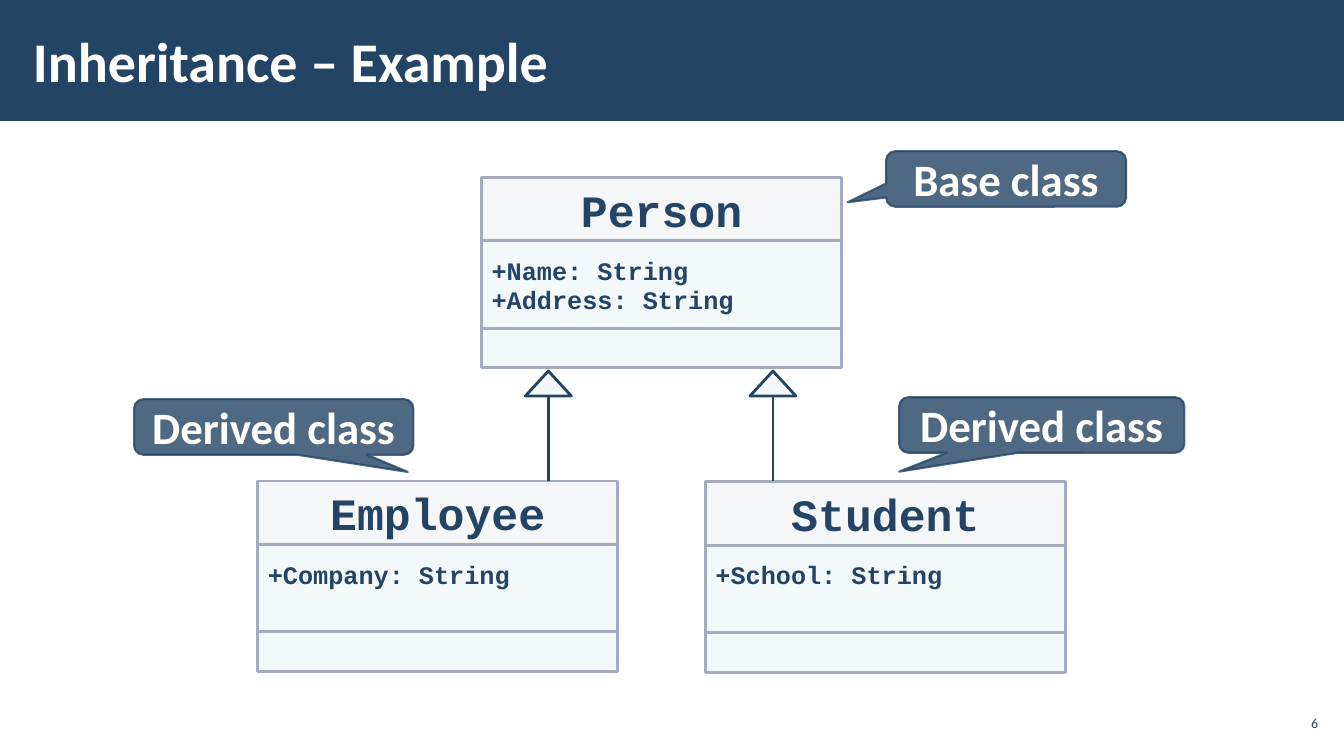
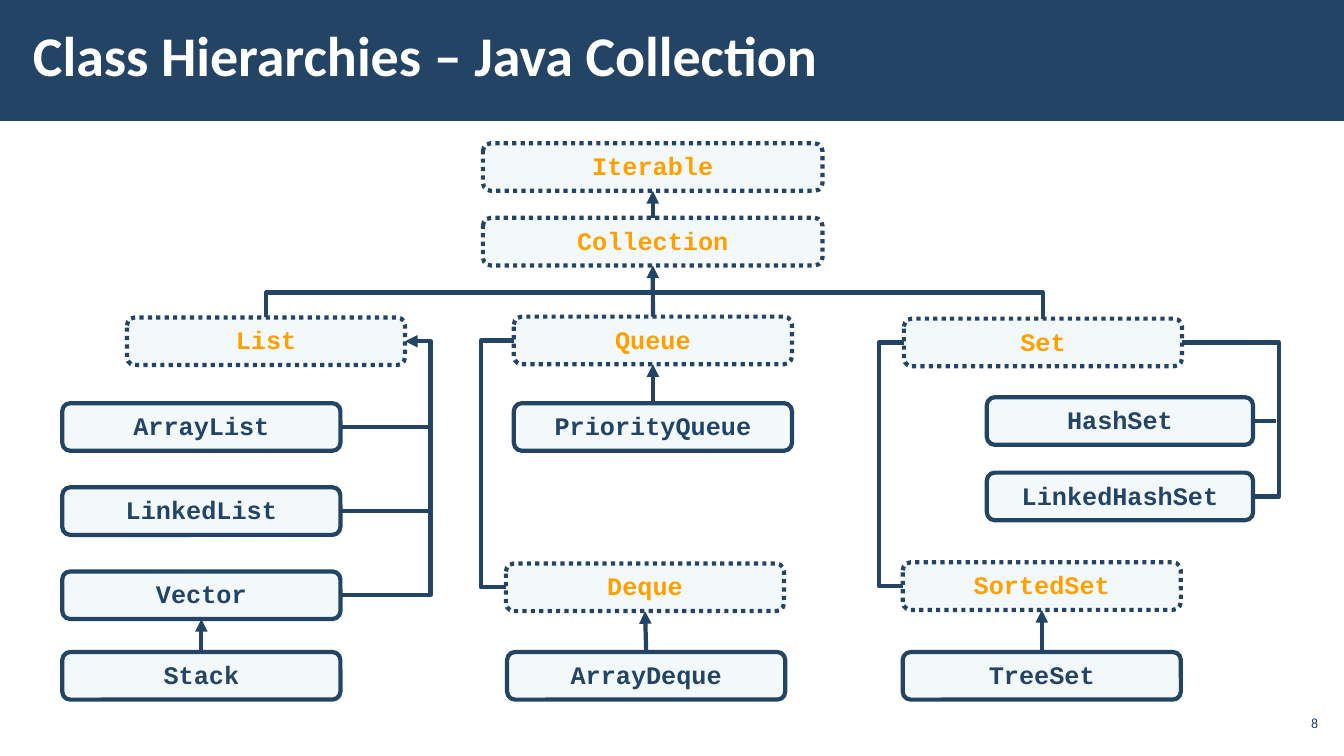
"""Build two slides on class inheritance and the Java collection hierarchy."""
from dataclasses import dataclass

from lxml.etree import SubElement
from pptx import Presentation
from pptx.dml.color import RGBColor as RGB
from pptx.enum.dml import MSO_LINE as Dash
from pptx.enum.shapes import MSO_CONNECTOR as Conn, MSO_SHAPE as Form
from pptx.enum.text import MSO_ANCHOR as Anchor, MSO_AUTO_SIZE as Fit, PP_ALIGN as Align
from pptx.oxml.ns import qn
from pptx.util import Cm, Pt


@dataclass(frozen=True)
class Theme:
    navy: RGB = RGB.from_string("234465")
    white: RGB = RGB.from_string("FFFFFF")
    amber: RGB = RGB.from_string("FFA000")
    gray: RGB = RGB.from_string("C2C7D2")
    aqua: RGB = RGB.from_string("B5DBE5")
    edge: RGB = RGB.from_string("A3ABBC")
    sans: str = "Calibri"
    mono: str = "Courier New"
    title: int = 40
    head: int = 32
    code: int = 18
    small: int = 10


T = Theme()


def write(frame, lines, face, size, color, bold=True, align=Align.CENTER, space=None):
    frame.word_wrap = True
    frame.vertical_anchor = Anchor.MIDDLE
    frame.text = "\n".join(lines)
    for para in frame.paragraphs:
        para.alignment = align
        para.line_spacing = space
        font = para.font
        font.name, font.size, font.bold = face, Pt(size), bold
        font.color.rgb = color


def paint(item, line, width, fill=None, alpha=(100, 100), arrow=False):
    item.line.color.rgb = line
    item.line.width = Pt(width)
    props = item.element.spPr
    if fill is None:
        if arrow:
            SubElement(props.find(qn("a:ln")), qn("a:tailEnd"), type="triangle")
        SubElement(props, qn("a:effectLst"))
        return
    item.shadow.inherit = False
    item.fill.solid()
    item.fill.fore_color.rgb = fill
    for tint, part in zip(props.iter(qn("a:srgbClr")), alpha):
        if part < 100:
            SubElement(tint, qn("a:alpha"), val=str(part * 1000))


deck = Presentation()
deck.slide_width, deck.slide_height = Cm(33.87), Cm(19.05)
base = deck.slide_layouts[5]
head = base.placeholders[0]
head.left, head.top, head.width, head.height = Cm(0.53), Cm(0.28), Cm(26.42), Cm(2.46)

pages = []
for name, num, space in (
    ("Inheritance – Example", "6", None),
    ("Class Hierarchies – Java Collection", "8", Pt(T.title)),
):
    page = deck.slides.add_slide(base)
    frame = page.shapes.title.text_frame
    frame.auto_size = Fit.NONE
    frame.margin_left = frame.margin_right = Cm(0.3)
    frame.margin_top = frame.margin_bottom = Cm(0.1)
    write(frame, [name], T.sans, T.title, T.white, align=Align.LEFT, space=space)
    frame = page.shapes.add_textbox(Cm(32.13), Cm(17.78), Cm(1.19), Cm(0.86)).text_frame
    frame.margin_left = frame.margin_right = frame.margin_top = frame.margin_bottom = Cm(0.1)
    write(frame, [num], T.sans, T.small, T.navy, bold=False, align=Align.RIGHT)
    pages.append(page)

band = pages[0].shapes.add_shape(Form.RECTANGLE, 0, 0, deck.slide_width, Cm(3.05))
paint(band, T.navy, 1, T.navy)
band.line.fill.background()
band.element.nvSpPr.cNvPr.set("id", "90")
base.shapes.element.insert(2, band.element)

draw = pages[0].shapes
for left, top, name, fields in (
    (12.14, 4.47, "Person", ["+Name: String", "+Address: String"]),
    (6.5, 12.12, "Employee", ["+Company: String"]),
    (17.78, 12.14, "Student", ["+School: String"]),
):
    for high, fill in ((1.6, T.gray), (2.2, T.aqua), (1, T.aqua)):
        cell = draw.add_shape(Form.RECTANGLE, Cm(left), Cm(top), Cm(9.07), Cm(high))
        paint(cell, T.edge, 2, fill, (15, 100))
        frame = cell.text_frame
        if high == 1.6:
            write(frame, [name], T.mono, T.head, T.navy)
        elif high == 2.2:
            write(frame, fields, T.mono, T.code, T.navy, align=Align.LEFT, space=0.95)
            frame.vertical_anchor = Anchor.TOP
            frame.margin_top = Cm(0.42)
        top += high

for mid in (13.82, 19.48):
    stem = draw.add_connector(Conn.STRAIGHT, Cm(mid), Cm(12.12), Cm(mid), Cm(9.98))
    paint(stem, T.navy, 2)
    tip = draw.add_shape(Form.ISOSCELES_TRIANGLE, Cm(mid - 0.58), Cm(9.35), Cm(1.16), Cm(0.63))
    paint(tip, T.navy, 2, T.aqua, (15, 100))

for left, top, wide, name, aim in (
    (3.38, 10.06, 7.04, "Derived class", (0.48, 0.81)),
    (22.66, 10.01, 7.19, "Derived class", (-0.5, 0.84)),
    (22.33, 3.81, 6.05, "Base class", (-0.66, 0.42)),
):
    note = draw.add_shape(Form.ROUNDED_RECTANGULAR_CALLOUT, Cm(left), Cm(top), Cm(wide), Cm(1.4))
    note.adjustments[0], note.adjustments[1] = aim
    paint(note, T.navy, 1.5, T.navy, (80, 80))
    write(note.text_frame, [name], T.sans, T.head, T.white)

draw = pages[1].shapes
nodes = {}
faces = {"Iterable", "Collection", "List", "Queue", "Set", "Deque", "SortedSet"}
for name, left, top, wide in (
    ("Iterable", 12.17, 3.61, 8.56),
    ("Collection", 12.17, 5.49, 8.56),
    ("List", 3.2, 8, 7.01),
    ("ArrayList", 1.57, 10.16, 7.01),
    ("LinkedList", 1.57, 12.28, 7.01),
    ("Vector", 1.57, 14.4, 7.01),
    ("Stack", 1.57, 16.43, 7.01),
    ("Queue", 12.95, 7.98, 7.01),
    ("PriorityQueue", 12.95, 10.16, 7.01),
    ("Deque", 12.75, 14.2, 7.01),
    ("ArrayDeque", 12.78, 16.43, 7.01),
    ("Set", 22.78, 8.03, 7.01),
    ("HashSet", 24.87, 10.01, 6.71),
    ("LinkedHashSet", 24.87, 11.91, 6.71),
    ("SortedSet", 22.75, 14.17, 7.01),
    ("TreeSet", 22.75, 16.43, 7.01),
):
    node = draw.add_shape(Form.ROUNDED_RECTANGLE, Cm(left), Cm(top), Cm(wide), Cm(1.2))
    paint(node, T.navy, 3, T.aqua, (15, 100))
    if name in faces:
        node.line.dash_style = Dash.ROUND_DOT
    color = T.amber if name in faces else T.navy
    write(node.text_frame, [name], T.mono, T.code, color, space=0.95)
    nodes[name] = node

for child, over in (
    ("Collection", "Iterable"),
    ("Queue", "Collection"),
    ("PriorityQueue", "Queue"),
    ("Stack", "Vector"),
    ("ArrayDeque", "Deque"),
    ("TreeSet", "SortedSet"),
):
    link = draw.add_connector(Conn.STRAIGHT, 0, 0, 0, 0)
    link.begin_connect(nodes[child], 0)
    link.end_connect(nodes[over], 2)
    paint(link, T.navy, 3, arrow=True)

for name, end in (("ArrayList", 10.85), ("LinkedList", 10.85), ("HashSet", 32.16)):
    node = nodes[name]
    mid = node.top + node.height // 2
    link = draw.add_connector(Conn.STRAIGHT, node.left + node.width, mid, Cm(end), mid)
    link.begin_connect(node, 3)
    paint(link, T.navy, 3)

for start, end, side, via in (
    ("List", "Set", 0, 7.37),
    ("Vector", "List", 3, 10.85),
    ("Queue", "Deque", 1, 12.12),
    ("Set", "LinkedHashSet", 3, 32.23),
    ("Set", "SortedSet", 1, 22.15),
):
    link = draw.add_connector(Conn.ELBOW, 0, 0, 0, 0)
    link.begin_connect(nodes[start], side)
    link.end_connect(nodes[end], side)
    paint(link, T.navy, 3, arrow=start == "Vector")
    props = link.element.spPr
    if side == 0:
        ratio = (Cm(via) - link.begin_y) / (link.end_y - link.begin_y)
        wide, high = link.width, link.height
        link.left += (wide - high) // 2
        link.top += (high - wide) // 2
        link.width, link.height = high, wide
        props.xfrm.set("rot", "16200000")
        props.xfrm.set("flipH", "1")
    else:
        ratio = (Cm(via) - link.begin_x) / (link.end_x - link.begin_x)
    guides = next(props.iter(qn("a:avLst")))
    SubElement(guides, qn("a:gd"), name="adj1", fmla=f"val {round(ratio * 100000)}")

deck.save("out.pptx")
